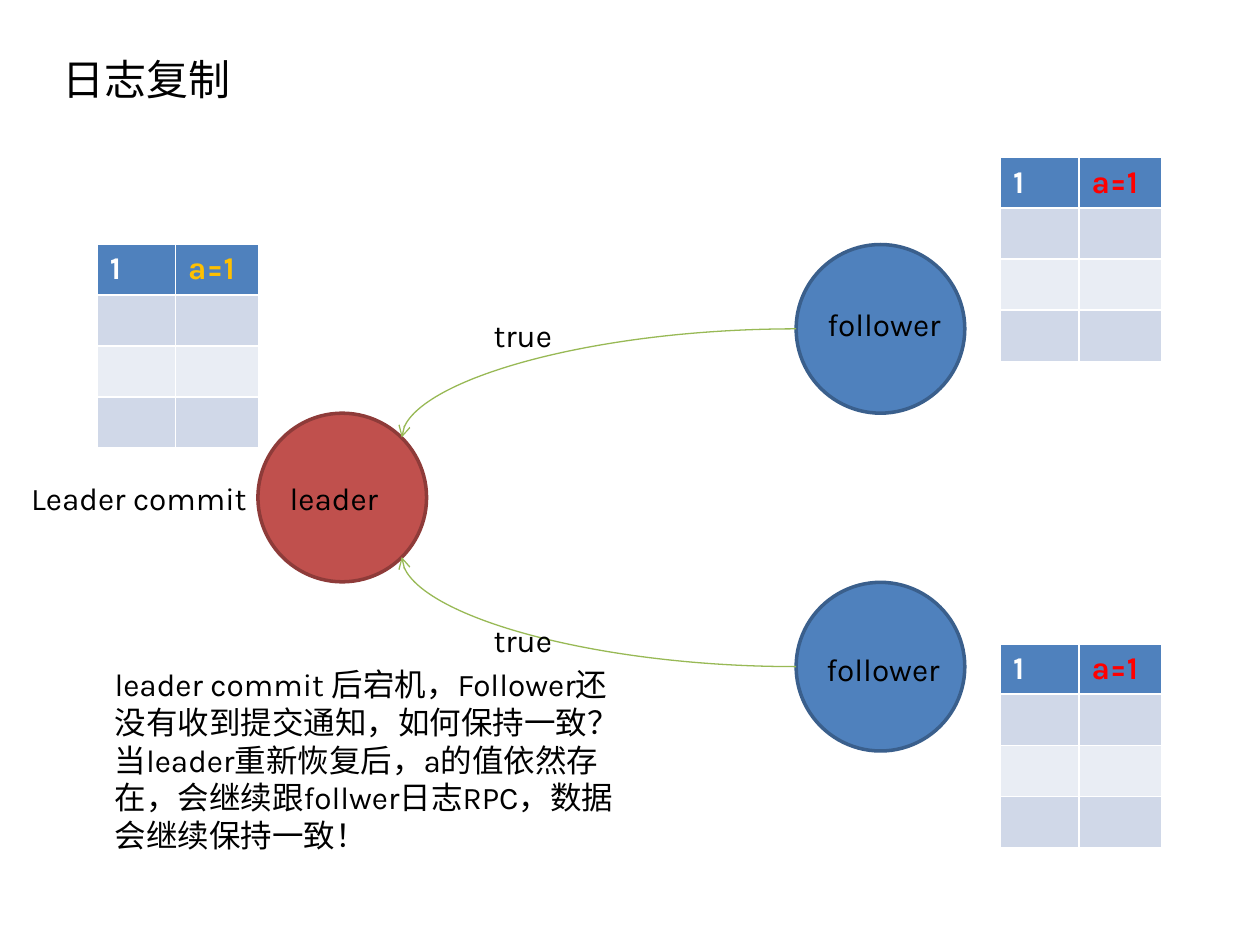
from pptx import Presentation
from pptx.dml.color import RGBColor
from pptx.enum.shapes import MSO_CONNECTOR, MSO_SHAPE
from pptx.enum.text import MSO_ANCHOR, PP_ALIGN
from pptx.oxml.ns import qn
from pptx.util import Cm, Pt
from lxml import etree

OVAL = MSO_SHAPE.OVAL
CURVE = MSO_CONNECTOR.CURVE
MIDDLE = MSO_ANCHOR.MIDDLE
LEFT = PP_ALIGN.LEFT
FONT = "Karla"
HAN = "Noto Sans CJK SC"
HEX = {
    "black": "000000", "white": "FFFFFF", "red": "FF0000", "gold": "FFC000",
    "blue": "4F81BD", "navy": "3A5F8C", "brick": "C0504D", "rust": "8E3B39",
    "green": "98B955", "dark": "D0D8E8", "light": "E9EDF4",
}
RGB = {name: RGBColor.from_string(code) for name, code in HEX.items()}


def style(para, color="black", size=18, face=FONT, bold=False):
    para.alignment = LEFT
    para.font.name = face
    para.font.size = Pt(size)
    para.font.bold = bold
    para.font.color.rgb = RGB[color]


deck = Presentation()
deck.slide_width, deck.slide_height = Cm(25.4), Cm(19.05)
slide = deck.slides.add_slide(deck.slide_layouts[5])
shapes = slide.shapes

title = shapes.title
title.left, title.top, title.width, title.height = Cm(1), Cm(0), Cm(22.86), Cm(3.18)
title.text_frame.text = "日志复制"
title.text_frame.vertical_anchor = MIDDLE
style(title.text_frame.paragraphs[0], size=24, face=HAN)

SIZE = 3.4
nodes = [
    (5.2, 8.33, "brick", "rust"),
    (16.05, 11.74, "blue", "navy"),
    (16.05, 4.93, "blue", "navy"),
]
for left, top, fill, edge in nodes:
    node = shapes.add_shape(OVAL, Cm(left), Cm(top), Cm(SIZE), Cm(SIZE))
    node.shadow.inherit = False
    node.fill.solid()
    node.fill.fore_color.rgb = RGB[fill]
    node.line.color.rgb = RGB[edge]
    node.line.width = Pt(2)

bands = ["blue", "dark", "light", "dark"]
logs = [(1.96, 4.93, "gold"), (20.17, 12.98, "red"), (20.17, 3.18, "red")]
for left, top, color in logs:
    frame = shapes.add_table(4, 2, Cm(left), Cm(top), Cm(3.25), Cm(4.06))
    table = frame.table
    for col, width in zip(table.columns, (1.58, 1.67)):
        col.width = Cm(width)
    for row, band in zip(table.rows, bands):
        for cell in row.cells:
            cell.fill.solid()
            cell.fill.fore_color.rgb = RGB[band]
    for cell, text, tint in zip(table.rows[0].cells, ("1", "a=1"), ("white", color)):
        cell.text = text
        style(cell.text_frame.paragraphs[0], tint, bold=True)

for start, end in [(6.63, 8.82), (13.44, 11.23)]:
    link = shapes.add_connector(CURVE, Cm(16.05), Cm(start), Cm(8.1), Cm(end))
    link.line.color.rgb = RGB["green"]
    link.line.width = Pt(0.75)
    props = link._element.spPr
    props.find(qn("a:prstGeom")).set("prst", "curvedConnector2")
    etree.SubElement(props.find(qn("a:ln")), qn("a:tailEnd"), type="arrow")
    etree.SubElement(props, qn("a:effectLst"))

notes = [
    (9.7, 6.25, 4.6, 1.02, ["true"]),
    (9.7, 12.4, 4.6, 1.02, ["true"]),
    (0.38, 9.53, 6.86, 1.02, ["Leader commit"]),
    (2.06, 13.28, 10.8, 4.09, [
        "leader commit 后宕机，Follower还没有收到提交通知，如何保持一致？",
        "当leader重新恢复后，a的值依然存在，会继续跟follwer日志RPC，数据会继续保持一致！",
    ]),
    (16.43, 6.02, 3, 1.02, ["follower"]),
    (16.41, 12.98, 3, 1.02, ["follower"]),
    (5.59, 9.53, 3, 1.02, ["leader"]),
]
for left, top, width, height, lines in notes:
    box = shapes.add_textbox(Cm(left), Cm(top), Cm(width), Cm(height))
    box.text_frame.word_wrap = True
    box.text_frame.text = "\n".join(lines)
    for para in box.text_frame.paragraphs:
        style(para)

deck.save("out.pptx")
